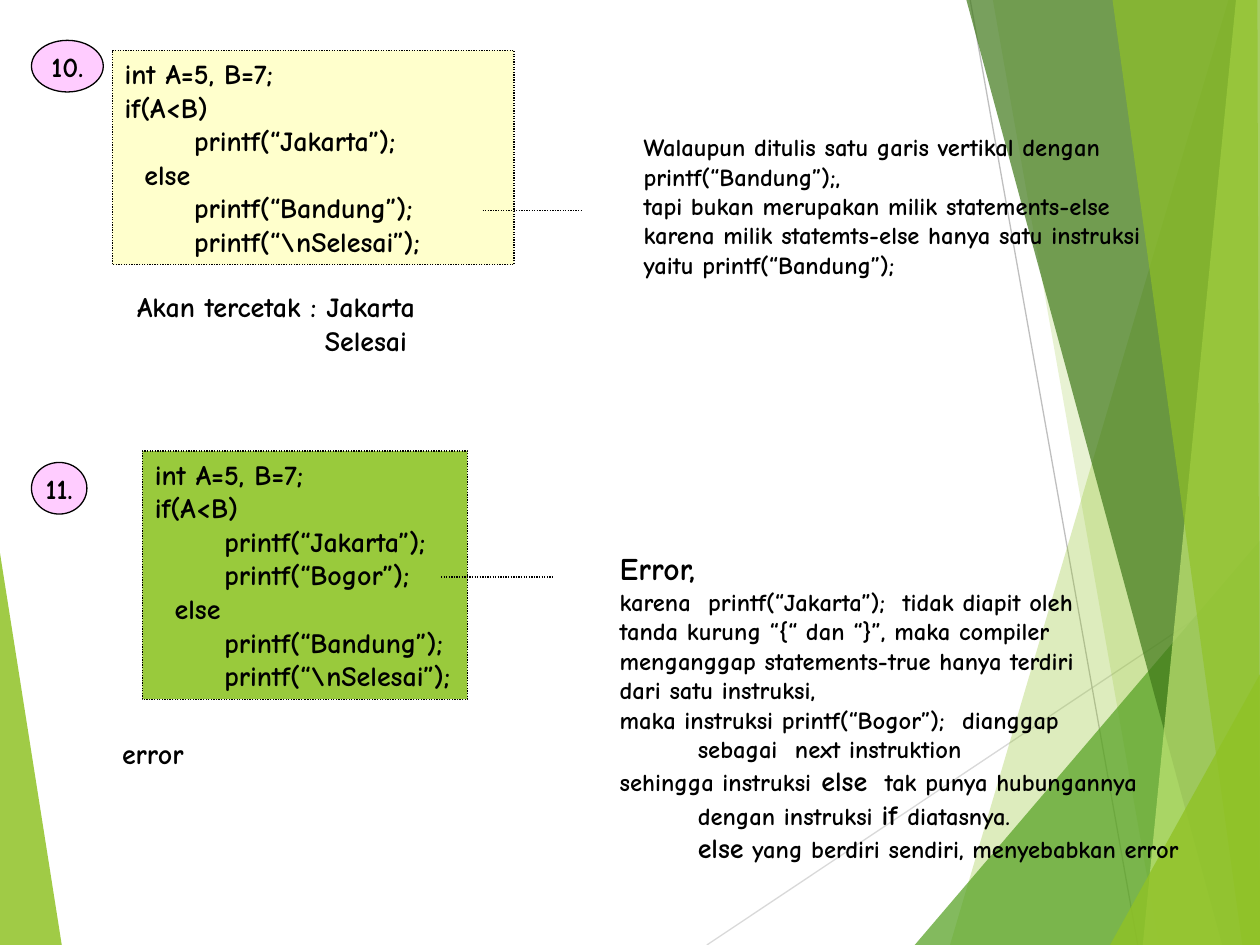
"""Build the slide on two nested if-else exercises in C."""
from dataclasses import dataclass
from typing import NamedTuple, Optional

from lxml import etree
from pptx import Presentation
from pptx.dml.color import RGBColor
from pptx.enum.dml import MSO_LINE
from pptx.enum.shapes import MSO_CONNECTOR, MSO_SHAPE
from pptx.enum.text import MSO_ANCHOR, MSO_AUTO_SIZE, PP_ALIGN
from pptx.oxml.ns import qn
from pptx.util import Inches, Pt

DOTTED = MSO_LINE.ROUND_DOT
STRAIGHT = MSO_CONNECTOR.STRAIGHT
RECTANGLE, OVAL = MSO_SHAPE.RECTANGLE, MSO_SHAPE.OVAL
GROW = MSO_AUTO_SIZE.SHAPE_TO_FIT_TEXT
TOP, MIDDLE = MSO_ANCHOR.TOP, MSO_ANCHOR.MIDDLE
LEFT, CENTER = PP_ALIGN.LEFT, PP_ALIGN.CENTER


@dataclass(frozen=True)
class Theme:
    """Colours, font and type sizes."""
    font: str = "Comic Neue"
    ink: str = "000000"
    badge: str = "FFCCFF"
    cream: str = "FFFFCC"
    leaf: str = "99CA3C"
    green: str = "90C226"
    mid_green: str = "54A021"
    dark_green: str = "3F7819"
    pale_green: str = "C0E474"
    ray_light: str = "D9D9D9"
    ray_dark: str = "BFBFBF"
    code: float = 16
    note: float = 14
    heading: float = 18
    line: float = 0.75


THEME = Theme()


class Box(NamedTuple):
    left: float
    top: float
    width: float
    height: float


class Facet(NamedTuple):
    points: list
    color: str
    opacity: int


class Stroke(NamedTuple):
    start: tuple
    end: tuple
    color: str
    dash: Optional[MSO_LINE] = None


class Span(NamedTuple):
    text: str
    size: float = THEME.note


class Line(NamedTuple):
    spans: list
    indent: float = 0


class Panel(NamedTuple):
    box: Box
    lines: list
    fill: Optional[str] = None
    outline: Optional[MSO_SHAPE] = None
    dash: Optional[MSO_LINE] = None
    wrap: bool = False
    anchor: MSO_ANCHOR = TOP
    align: PP_ALIGN = LEFT


def plain(text: str, size: float = THEME.code) -> list[Line]:
    """Split text into lines of one size."""
    return [Line([Span(row, size)]) for row in text.split("\n")]


def badge(box: Box, label: str) -> Panel:
    """Describe a numbered oval."""
    return Panel(box, plain(label), THEME.badge, OVAL, anchor=MIDDLE, align=CENTER)


NOTE_INDENT = 0.62
RESULT_INDENT = 1.49

LEFT_FACET = Facet([(0, 4.39), (0.49, 7.5), (0, 7.5)], THEME.green, 85)
RAYS = [
    Stroke((5.61, 7.5), (10, 4.57), THEME.ray_light),
    Stroke((7.7, 0), (9.03, 7.5), THEME.ray_dark),
]
RIGHT_FACETS = [
    Facet([(9.75, 0), (7.54, 7.5), (10, 7.5), (10, 0)], THEME.green, 30),
    Facet([(7.88, 0), (9.2, 7.5), (10, 7.5), (10, 0)], THEME.green, 20),
    Facet([(7.26, 7.5), (10, 4.29), (10, 7.5)], THEME.mid_green, 72),
    Facet([(7.67, 0), (9.7, 7.5), (10, 7.5), (10, 0)], THEME.dark_green, 70),
    Facet([(9.81, 0), (9.07, 7.5), (10, 7.5), (10, 0)], THEME.pale_green, 70),
    Facet([(8.83, 0), (9.86, 7.5), (10, 7.5), (9.98, 0)], THEME.green, 65),
    Facet([(8.81, 7.5), (10, 5.35), (10, 7.5)], THEME.green, 80),
]

CODE_10 = """int A=5, B=7;
if(A<B)
       printf(“Jakarta”);
  else
       printf(“Bandung”);
       printf(“\\nSelesai”);"""
CODE_11 = CODE_10.replace("  else", "       printf(“Bogor”);\n  else")
NOTE_10 = """Walaupun ditulis satu garis vertikal dengan
printf(“Bandung”);,
tapi bukan merupakan milik statements-else
karena milik statemts-else hanya satu instruksi
yaitu printf(“Bandung”);"""
NOTE_11 = """karena  printf(“Jakarta”);  tidak diapit oleh
tanda kurung “{“ dan “}”, maka compiler
menganggap statements-true hanya terdiri
dari satu instruksi,
maka instruksi printf(“Bogor”);  dianggap"""
NOTE_11_LINES = [
    *plain("Error,", THEME.heading),
    *plain(NOTE_11, THEME.note),
    Line([Span("sebagai  next instruktion")], NOTE_INDENT),
    Line([Span("sehingga instruksi"), Span(" else", THEME.code),
          Span("  tak punya hubungannya")]),
    Line([Span("dengan instruksi "), Span("if ", THEME.code),
          Span("diatasnya.")], NOTE_INDENT),
    Line([Span("else", THEME.code),
          Span(" yang berdiri sendiri, menyebabkan error")], NOTE_INDENT),
]
RESULT_10 = [*plain("Akan tercetak : Jakarta"),
             Line([Span("Selesai", THEME.code)], RESULT_INDENT)]

PANELS = [
    badge(Box(0.25, 0.32, 0.57, 0.41), "10."),
    Panel(Box(0.89, 0.4, 3.19, 1.7), plain(CODE_10), THEME.cream, RECTANGLE,
          DOTTED, wrap=True),
    Panel(Box(0.99, 2.25, 2.43, 0.64), RESULT_10),
    Panel(Box(5.01, 1, 4.16, 1.27), plain(NOTE_10, THEME.note)),
    badge(Box(0.25, 3.67, 0.44, 0.41), "11."),
    Panel(Box(1.13, 3.58, 2.58, 1.97), plain(CODE_11), THEME.leaf, RECTANGLE,
          DOTTED, wrap=True),
    Panel(Box(4.82, 4.31, 4.66, 2.6), NOTE_11_LINES),
    Panel(Box(0.87, 5.8, 0.69, 0.37), plain("error")),
]
LEADERS = [
    Stroke((3.83, 1.67), (4.61, 1.67), THEME.ink, DOTTED),
    Stroke((3.5, 4.58), (4.39, 4.58), THEME.ink, DOTTED),
]


def style_line(line, color: str, dash: Optional[MSO_LINE]) -> None:
    """Give a line its colour, width and dash."""
    line.color.rgb = RGBColor.from_string(color)
    line.width = Pt(THEME.line)
    if dash is not None:
        line.dash_style = dash


def draw_facet(shapes, facet: Facet) -> None:
    """Draw a translucent polygon."""
    start, *rest = [(Inches(x), Inches(y)) for x, y in facet.points]
    builder = shapes.build_freeform(*start)
    builder.add_line_segments(rest, close=True)
    polygon = builder.convert_to_shape()
    polygon.shadow.inherit = False
    polygon.line.fill.background()
    polygon.fill.solid()
    polygon.fill.fore_color.rgb = RGBColor.from_string(facet.color)
    color = polygon.fill._xPr.find(qn("a:solidFill"))[0]
    etree.SubElement(color, qn("a:alpha"), val=str(facet.opacity * 1000))


def draw_stroke(shapes, stroke: Stroke) -> None:
    """Draw a straight line without a shadow."""
    ends = [Inches(value) for value in (*stroke.start, *stroke.end)]
    connector = shapes.add_connector(STRAIGHT, *ends)
    style_line(connector.line, stroke.color, stroke.dash)
    etree.SubElement(connector._element.spPr, qn("a:effectLst"))


def write_line(paragraph, line: Line, align: PP_ALIGN) -> None:
    """Write one line of text with its spans."""
    paragraph.alignment = align
    if line.indent:
        properties = paragraph._p.get_or_add_pPr()
        properties.set("marL", str(Inches(line.indent)))
        properties.set("indent", "0")
    font = paragraph.font
    font.name, font.bold = THEME.font, True
    font.color.rgb = RGBColor.from_string(THEME.ink)
    font.size = Pt(line.spans[0].size)
    for span in line.spans:
        run = paragraph.add_run()
        run.text = span.text
        if span.size != line.spans[0].size:
            run.font.size = Pt(span.size)


def draw_panel(shapes, panel: Panel) -> None:
    """Draw a text box or a filled shape with text."""
    box = [Inches(value) for value in panel.box]
    if panel.outline is None:
        holder = shapes.add_textbox(*box)
    else:
        holder = shapes.add_shape(panel.outline, *box)
        holder.shadow.inherit = False
        holder.fill.solid()
        holder.fill.fore_color.rgb = RGBColor.from_string(panel.fill)
        style_line(holder.line, THEME.ink, panel.dash)
    frame = holder.text_frame
    frame.word_wrap = panel.wrap
    frame.vertical_anchor = panel.anchor
    if panel.outline != OVAL:
        frame.auto_size = GROW
    for index, line in enumerate(panel.lines):
        paragraph = frame.add_paragraph() if index else frame.paragraphs[0]
        write_line(paragraph, line, panel.align)


def main() -> None:
    """Build and save the slide."""
    deck = Presentation()
    deck.slide_width, deck.slide_height = Inches(10), Inches(7.5)
    shapes = deck.slides.add_slide(deck.slide_layouts[6]).shapes
    draw_facet(shapes, LEFT_FACET)
    for ray in RAYS:
        draw_stroke(shapes, ray)
    for facet in RIGHT_FACETS:
        draw_facet(shapes, facet)
    for panel in PANELS:
        draw_panel(shapes, panel)
    for leader in LEADERS:
        draw_stroke(shapes, leader)
    deck.save("out.pptx")


if __name__ == "__main__":
    main()
